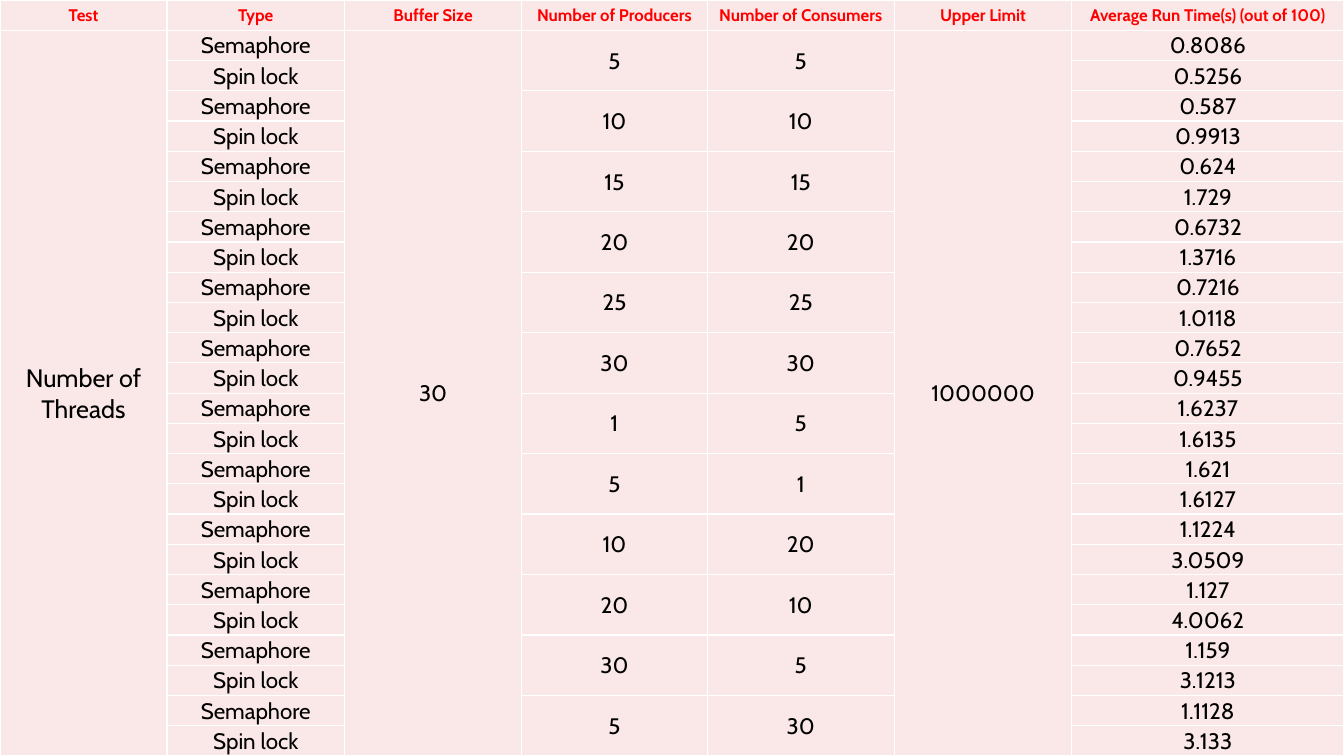
from pptx import Presentation
from pptx.dml.color import RGBColor
from pptx.enum.text import MSO_ANCHOR, PP_ALIGN
from pptx.oxml import parse_xml
from pptx.oxml.ns import nsdecls
from pptx.util import Cm, Pt

MIDDLE = MSO_ANCHOR.MIDDLE
CENTER = PP_ALIGN.CENTER

SLIDE_WIDTH, SLIDE_HEIGHT = Cm(33.87), Cm(19.05)
BLANK_LAYOUT = 6

# Benchmark settings and results
HEADINGS = ["Test", "Type", "Buffer Size", "Number of Producers",
            "Number of Consumers", "Upper Limit",
            "Average Run Time(s) (out of 100)"]
COLUMN_WIDTHS = [4.21, 4.47, 4.47, 4.67, 4.72, 4.47, 6.86]
TEST, TYPE, BUFFER, PRODUCERS, CONSUMERS, LIMIT, RUN_TIME = range(len(HEADINGS))
LOCKS = ["Semaphore", "Spin lock"]

# Producers, consumers, then the run time of each lock
TRIALS = [
    (5, 5, 0.8086, 0.5256),
    (10, 10, 0.587, 0.9913),
    (15, 15, 0.624, 1.729),
    (20, 20, 0.6732, 1.3716),
    (25, 25, 0.7216, 1.0118),
    (30, 30, 0.7652, 0.9455),
    (1, 5, 1.6237, 1.6135),
    (5, 1, 1.621, 1.6127),
    (10, 20, 1.1224, 3.0509),
    (20, 10, 1.127, 4.0062),
    (30, 5, 1.159, 3.1213),
    (5, 30, 1.1128, 3.133),
]
RUN_COUNT = len(TRIALS) * len(LOCKS)


def color(hex_string):
    return RGBColor.from_string(hex_string)


def write(frame, text, font="Cabin", size=16, ink="000000", bold=False):
    paragraph = frame.paragraphs[0]
    paragraph.alignment = CENTER
    run = paragraph.add_run()
    run.text = str(text)
    run.font.name = font
    run.font.size = Pt(size)
    run.font.bold = bold
    run.font.color.rgb = color(ink)


class BenchmarkSlide:
    cell_fill = "FAE7E7"
    border = "FFFFFF"
    border_width = Pt(1)
    inset = Cm(0.03)

    def __init__(self, deck):
        self.slide = deck.slides.add_slide(deck.slide_layouts[BLANK_LAYOUT])

    def table(self, row_count, widths, height):
        grid = self.slide.shapes.add_table(
            row_count, len(widths), 0, 0, SLIDE_WIDTH, height).table
        for column, width in zip(grid.columns, widths):
            column.width = Cm(width)
        for row in grid.rows:
            row.height = height // row_count
        for cell in grid.iter_cells():
            self.style_cell(cell)
        return grid

    def style_cell(self, cell):
        cell.margin_left = cell.margin_right = cell.margin_top = self.inset
        cell.margin_bottom = 0
        cell.vertical_anchor = MIDDLE
        # Borders come before the fill in the cell properties
        properties = cell._tc.get_or_add_tcPr()
        for side in ("lnL", "lnR", "lnT", "lnB"):
            properties.append(parse_xml(
                f'<a:{side} {nsdecls("a")} w="{self.border_width}"><a:solidFill>'
                f'<a:srgbClr val="{self.border}"/></a:solidFill></a:{side}>'))
        cell.fill.solid()
        cell.fill.fore_color.rgb = color(self.cell_fill)

    def entry(self, grid, row, column, text, row_span=1, **text_format):
        cell = grid.cell(row, column)
        if row_span > 1:
            cell.merge(grid.cell(row + row_span - 1, column))
        write(cell.text_frame, text, **text_format)
        return cell


deck = Presentation()
deck.slide_width, deck.slide_height = SLIDE_WIDTH, SLIDE_HEIGHT
benchmark = BenchmarkSlide(deck)
results = benchmark.table(RUN_COUNT + 1, COLUMN_WIDTHS, SLIDE_HEIGHT)

# Heading row
for column, heading in enumerate(HEADINGS):
    benchmark.entry(results, 0, column, heading, size=12, ink="FF0000", bold=True)

# Settings shared by all runs
test_name = benchmark.entry(results, 1, TEST, "Number of Threads",
                            row_span=RUN_COUNT, size=18)
test_name._tc.get_or_add_tcPr().set("vert", "wordArtVert")
benchmark.entry(results, 1, BUFFER, 30, row_span=RUN_COUNT)
benchmark.entry(results, 1, LIMIT, 1000000, row_span=RUN_COUNT)

# One pair of rows for each trial
for trial, (producers, consumers, *run_times) in enumerate(TRIALS):
    first_row = 1 + trial * len(LOCKS)
    benchmark.entry(results, first_row, PRODUCERS, producers, row_span=len(LOCKS))
    benchmark.entry(results, first_row, CONSUMERS, consumers, row_span=len(LOCKS))
    for row, (lock, run_time) in enumerate(zip(LOCKS, run_times), first_row):
        benchmark.entry(results, row, TYPE, lock)
        benchmark.entry(results, row, RUN_TIME, run_time)

deck.save("out.pptx")
